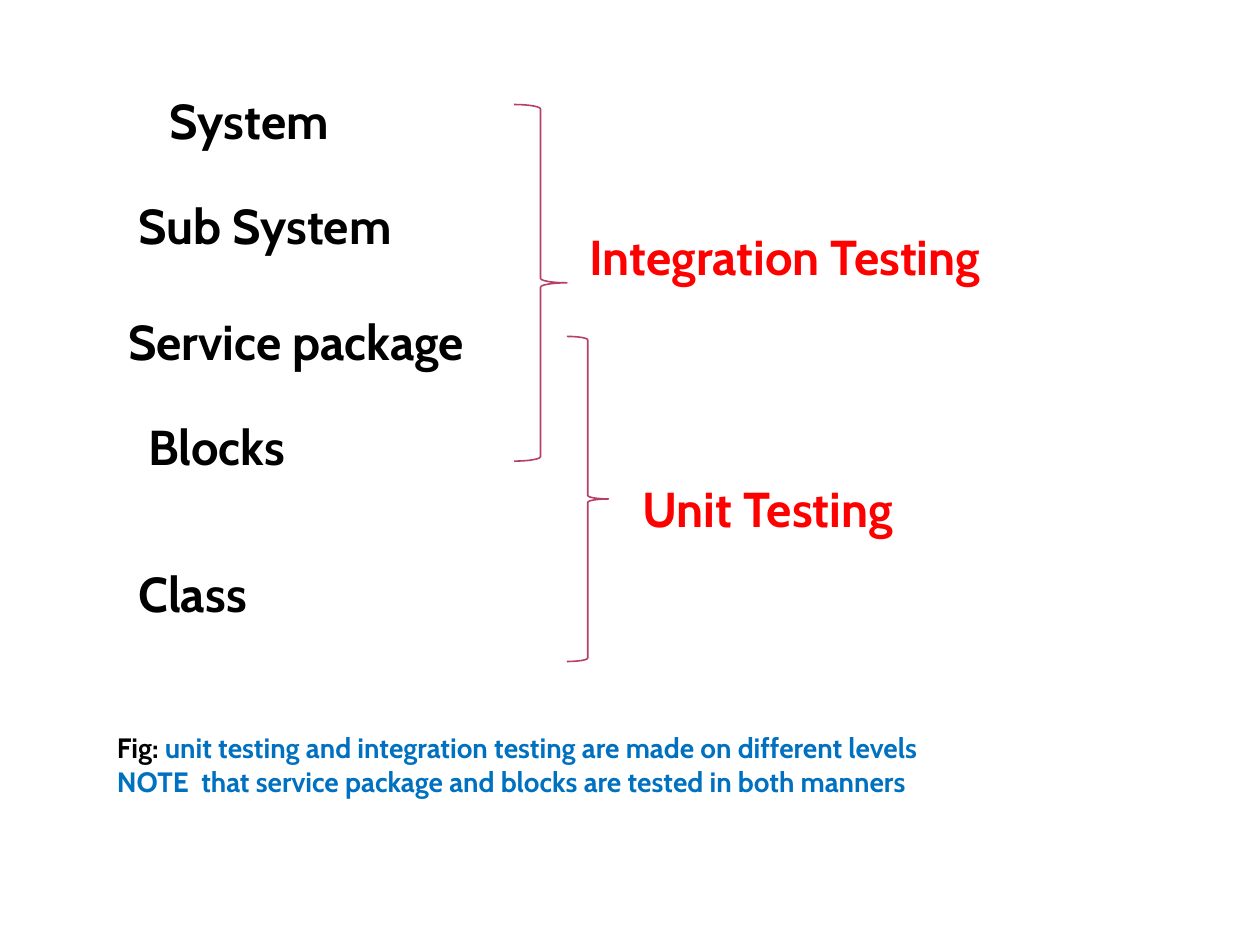
from pptx import Presentation
from pptx.dml.color import RGBColor
from pptx.enum.shapes import MSO_SHAPE
from pptx.enum.text import MSO_AUTO_SIZE
from pptx.util import Inches, Pt

BRACE = MSO_SHAPE.RIGHT_BRACE
GROW = MSO_AUTO_SIZE.SHAPE_TO_FIT_TEXT
COLORS = {"level": "000000", "test": "FF0000", "note": "0070C0", "brace": "B83D68"}

deck = Presentation()
deck.slide_width, deck.slide_height = Inches(10), Inches(7.5)
slide = deck.slides.add_slide(deck.slide_layouts[6])


def add_box(left, top, width, height, wrap=False):
    box = slide.shapes.add_textbox(*map(Inches, (left, top, width, height)))
    frame = box.text_frame
    frame.word_wrap = wrap
    frame.auto_size = GROW
    return frame


def add_run(para, text, size, color):
    run = para.add_run()
    run.text = text
    style = {"name": "Cabin", "size": Pt(size), "bold": True}
    for key, value in style.items():
        setattr(run.font, key, value)
    run.font.color.rgb = RGBColor.from_string(COLORS[color])


labels = [
    ("System", 1.25, 0.67, 1.5, "level"),
    ("Sub System", 1, 1.5, 2.28, "level"),
    ("Service package", 0.92, 2.42, 3.24, "level"),
    ("Blocks", 1.08, 3.26, 1.36, "level"),
    ("Class", 1, 4.42, 1.1, "level"),
    ("Integration Testing", 4.58, 1.75, 3.62, "test"),
    ("Unit Testing", 5, 3.75, 2.38, "test"),
]
for text, left, top, width, color in labels:
    frame = add_box(left, top, width, 0.57, wrap=text == "Service package")
    add_run(frame.paragraphs[0], text, 28, color)

for place in [(4.08, 0.83, 0.42, 2.83), (4.5, 2.67, 0.33, 2.58)]:
    brace = slide.shapes.add_shape(BRACE, *map(Inches, place))
    brace.shadow.inherit = False
    brace.fill.background()
    brace.line.color.rgb = RGBColor.from_string(COLORS["brace"])
    brace.line.width = Pt(0.9)

frame = add_box(0.83, 5.75, 7.4, 0.64)
first = frame.paragraphs[0]
add_run(first, "Fig: ", 16, "level")
add_run(first, "unit testing and integration testing are made on different levels", 16, "note")
add_run(frame.add_paragraph(), "NOTE  that service package and blocks are tested in both manners", 16, "note")

deck.save("out.pptx")
